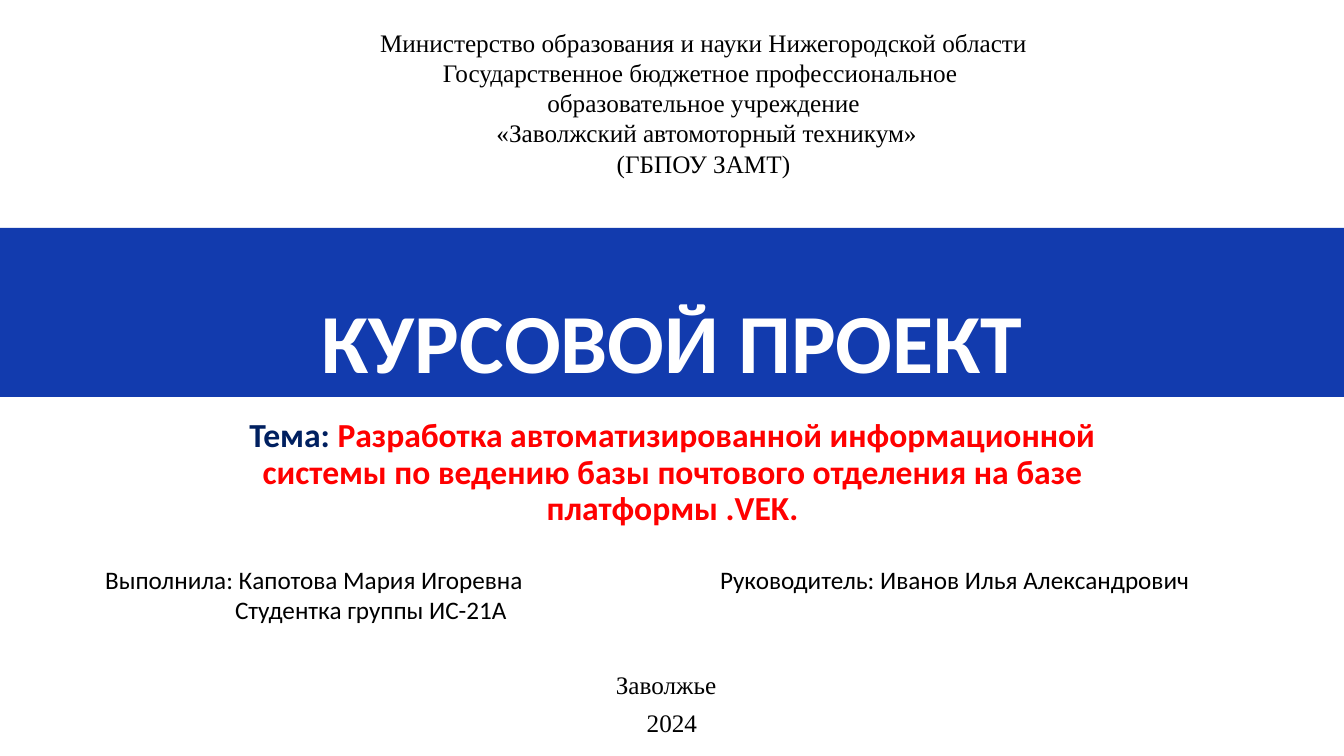
from pptx import Presentation
from pptx import util as u
from pptx.dml.color import RGBColor
from pptx.enum import text as t

PX = 914400 / 100.8
HUES = {"band": "123BAE", "white": "FFFFFF", "navy": "002060",
        "red": "FF0000", "black": "000000"}
SERIF, SANS = "Times New Roman", "Calibri"
MID, JUST, LEFT = t.PP_ALIGN.CENTER, t.PP_ALIGN.JUSTIFY, t.PP_ALIGN.LEFT


def px(*nums):
    return [u.Emu(round(n * PX)) for n in nums]


def style(par, size, face, hue, bold=False, align=MID):
    par.alignment = align
    for run in par.runs:
        font = run.font
        font.size, font.name, font.bold = u.Pt(size), face, bold
        font.color.rgb = RGBColor.from_string(HUES[hue])


deck = Presentation()
deck.slide_width, deck.slide_height = px(1344, 756)
slide = deck.slides.add_slide(deck.slide_layouts[5])
shapes = slide.shapes

# Title band
title = shapes.title
title.left, title.top, title.width, title.height = px(0, 228, 1344, 169)
title.fill.solid()
title.fill.fore_color.rgb = RGBColor.from_string(HUES["band"])
frame = title.text_frame
frame.text = "КУРСОВОЙ ПРОЕКТ"
frame.word_wrap = True
frame.auto_size = t.MSO_AUTO_SIZE.NONE
frame.vertical_anchor = t.MSO_ANCHOR.BOTTOM
style(frame.paragraphs[0], 60, SANS, "white", True)
frame.paragraphs[0].line_spacing = 0.9

# Topic
frame = shapes.add_textbox(*px(237, 414, 871, 130)).text_frame
frame.word_wrap = True
par = frame.paragraphs[0]
par.line_spacing, par.space_before = 0.9, u.Pt(10)
for words in ("Тема: ", "Разработка автоматизированной информационной системы "
              "по ведению базы почтового отделения на базе платформы .VEK."):
    par.add_run().text = words
style(par, 24, SANS, "red", True)
par.runs[0].font.color.rgb = RGBColor.from_string(HUES["navy"])

# School heading
frame = shapes.add_textbox(*px(336, 22, 735, 163)).text_frame
frame.word_wrap = True
frame.text = """Министерство образования и науки Нижегородской области
Государственное бюджетное профессиональное \vобразовательное учреждение
 «Заволжский автомоторный техникум»
(ГБПОУ ЗАМТ)"""
for par in frame.paragraphs:
    style(par, 18, SERIF, "black")

# Student and supervisor
table = shapes.add_table(1, 2, *px(95, 560, 1182, 71)).table
table.first_row = table.horz_banding = False
people = ["Выполнила: Капотова Мария Игоревна\nСтудентка группы ИС-21А",
          "Руководитель: Иванов Илья Александрович"]
for col, cell, wide, words in zip(table.columns, table.rows[0].cells,
                                  px(615, 567), people):
    col.width = wide
    cell.fill.background()
    cell.text = words
    for par in cell.text_frame.paragraphs:
        style(par, 18, SANS, "black", align=LEFT)
group = table.cell(0, 0).text_frame.paragraphs[1]
group._p.get_or_add_pPr().set("marL", str(px(130)[0]))

# Town and year
frame = shapes.add_textbox(*px(586, 664, 172, 80)).text_frame
frame.word_wrap = True
frame.text = "Заволжье\n2024"
for par, align in zip(frame.paragraphs, (JUST, MID)):
    style(par, 18, SERIF, "black", align=align)
    par.space_before = u.Pt(6)
    for side in ("marL", "marR"):
        par._p.get_or_add_pPr().set(side, str(px(20)[0]))

deck.save("out.pptx")
